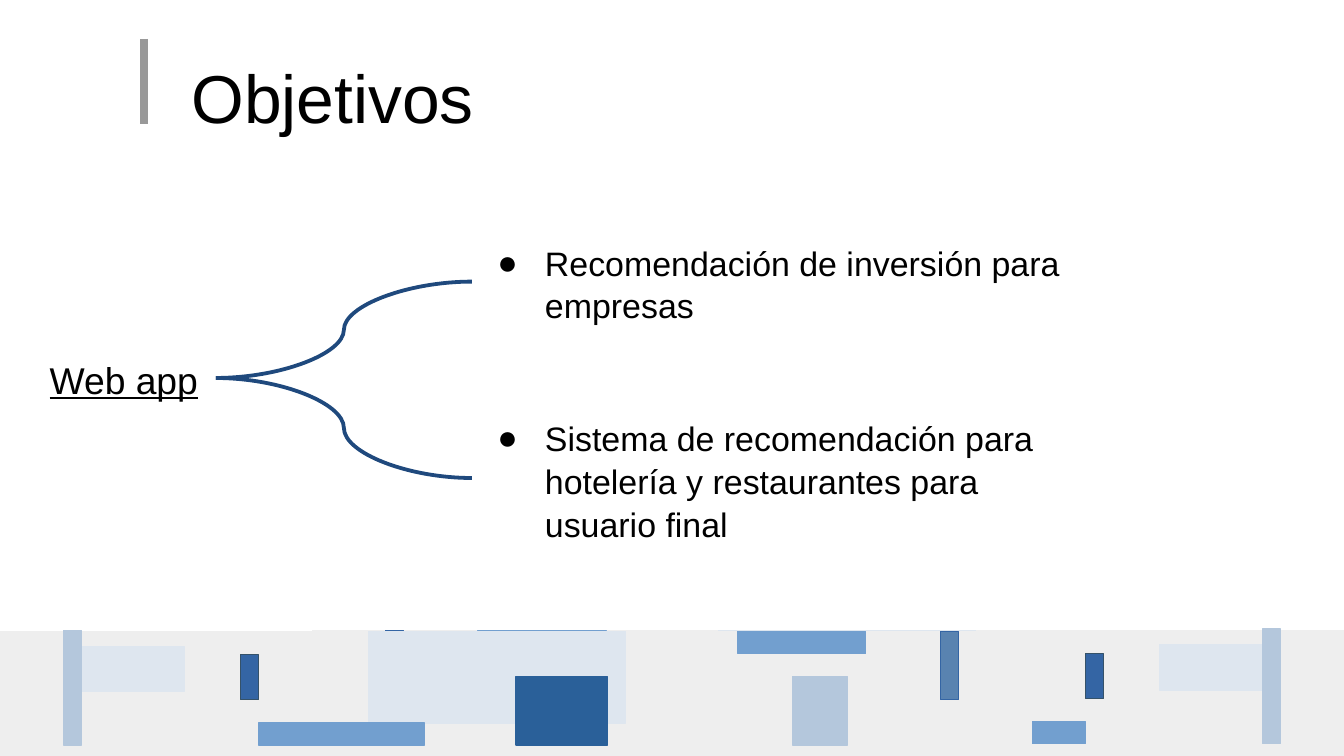
"""Builds the Objetivos slide: one topic branching into two goals."""
from lxml import etree
from pptx import Presentation
from pptx.dml.color import RGBColor
from pptx.enum.shapes import MSO_CONNECTOR, MSO_SHAPE
from pptx.enum.text import MSO_ANCHOR, MSO_AUTO_SIZE
from pptx.oxml.ns import qn
from pptx.util import Inches, Pt

WIDTH, HEIGHT = 11.02, 6.2
COLORS = {
    "text": "000000", "bar": "999999", "curve": "1F497D", "band": "EEEEEE",
    "pale": "DEE6EF", "mist": "B4C7DC", "sky": "729FCF", "steel": "5983B0",
    "blue": "3465A4", "navy": "2A6099", "edge": "355269",
}
BLOCKS = [
    (0, 5.18, 8.46, 1.03, "band", "band"),
    (0.61, 5.3, 0.9, 0.37, "pale", "pale"),
    (1.97, 5.37, 0.15, 0.37, "blue", "edge"),
    (0.52, 5.17, 0.15, 0.94, "mist", "mist"),
    (3.02, 5.18, 2.11, 0.75, "pale", "pale"),
    (4.23, 5.55, 0.75, 0.56, "navy", "navy"),
    (7.71, 5.18, 0.15, 0.56, "steel", "blue"),
    (6.05, 5.18, 1.05, 0.18, "sky", "sky"),
    (6.5, 5.55, 0.45, 0.56, "mist", "mist"),
    (2.12, 5.93, 1.36, 0.18, "sky", "sky"),
]
LEFT_ONLY = [(4.23, 5.55), (6.5, 5.55)]
GOALS = [
    (1.87, 0.88, 2.31, "Recomendación de inversión para empresas"),
    (3.31, 1.21, 3.92, "Sistema de recomendación para hotelería y restaurantes para usuario final"),
]


class SlideBuilder:
    def __init__(self, slide, font, colors):
        self.slide, self.font = slide, font
        self.colors = {k: RGBColor.from_string(v) for k, v in colors.items()}

    def block(self, x, y, w, h, fill, line):
        sp = self.slide.shapes.add_shape(
            MSO_SHAPE.RECTANGLE, Inches(x), Inches(y), Inches(w), Inches(h))
        sp.shadow.inherit = False
        sp.fill.solid()
        sp.fill.fore_color.rgb = self.colors[fill]
        sp.line.color.rgb = self.colors[line]
        sp.line.width = Pt(0.75)

    def line(self, kind, start, end, color, width):
        cx = self.slide.shapes.add_connector(
            kind, *(Inches(v) for v in (*start, *end)))
        cx.line.color.rgb = self.colors[color]
        cx.line.width = Pt(width)
        etree.SubElement(cx._element.spPr, qn("a:effectLst"))

    def text(self, x, y, w, h, text, size, inset=0.1, spacing=1.05,
             bullet=False, frame=None, **font):
        box = self.slide.shapes.add_textbox(
            Inches(x), Inches(y), Inches(w), Inches(h))
        tf = box.text_frame
        margins = {f"margin_{side}": Inches(inset)
                   for side in ("left", "top", "right", "bottom")}
        p = tf.paragraphs[0]
        p.line_spacing = spacing
        r = p.add_run()
        r.text = text
        r.font.color.rgb = self.colors["text"]
        formats = (
            (tf, {"word_wrap": True, **margins, **(frame or {})}),
            (r.font, {"name": self.font, "size": Pt(size), **font}),
        )
        for target, values in formats:
            for name, value in values.items():
                setattr(target, name, value)
        if bullet:
            self.bullet(p)

    def bullet(self, p):
        pPr = p._p.get_or_add_pPr()
        pPr.set("marL", str(Inches(0.5)))
        pPr.set("indent", str(Inches(-0.39)))
        color = etree.SubElement(pPr, qn("a:buClr"))
        etree.SubElement(color, qn("a:srgbClr"), val=str(self.colors["text"]))
        etree.SubElement(pPr, qn("a:buFont"), typeface=self.font)
        etree.SubElement(pPr, qn("a:buChar"), char="●")


def main():
    prs = Presentation()
    prs.slide_width, prs.slide_height = Inches(WIDTH), Inches(HEIGHT)
    s = SlideBuilder(prs.slides.add_slide(prs.slide_layouts[6]), "Arial", COLORS)

    for x, y, w, h, fill, line in BLOCKS:
        if (x, y) not in LEFT_ONLY:
            s.block(WIDTH - x - w, y - 0.01, w, h, fill, line)
    for block in BLOCKS:
        s.block(*block)

    s.line(MSO_CONNECTOR.STRAIGHT, (1.18, 0.32), (1.18, 1.02), "bar", 4.31)
    s.text(1.57, 0.28, 8.86, 1.03, "Objetivos", 40, inset=0, spacing=1.0,
           frame={"vertical_anchor": MSO_ANCHOR.MIDDLE})

    grow = {"auto_size": MSO_AUTO_SIZE.SHAPE_TO_FIT_TEXT}
    s.text(0.31, 2.81, 1.47, 0.57, "Web app", 22, frame=grow, underline=True)
    for top, height, tip, goal in GOALS:
        s.text(3.87, top, 5.06, height, goal, 20, bullet=True, frame=grow)
        s.line(MSO_CONNECTOR.CURVE, (1.77, 3.1), (3.87, tip), "curve", 2.25)

    prs.save("out.pptx")


if __name__ == "__main__":
    main()
